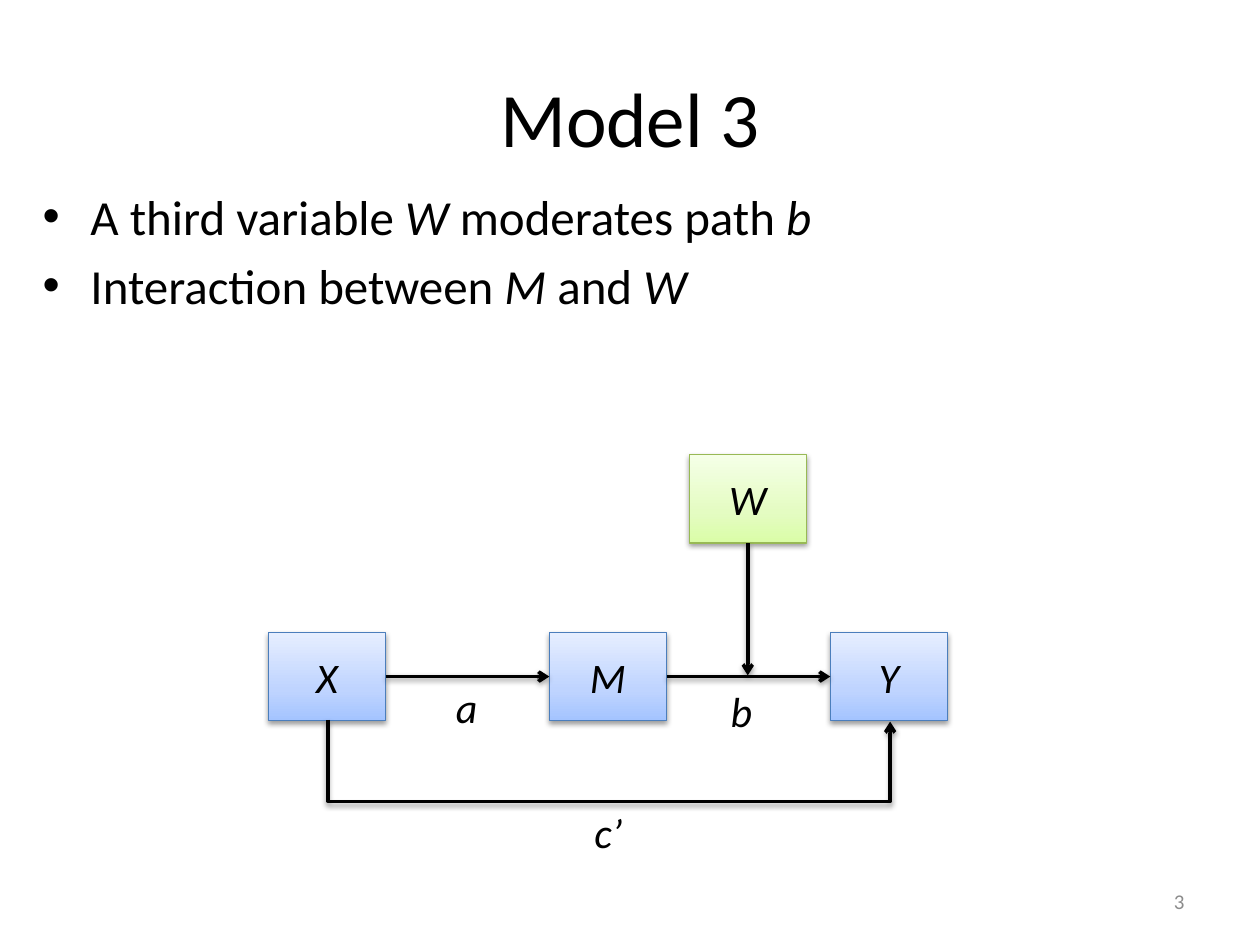
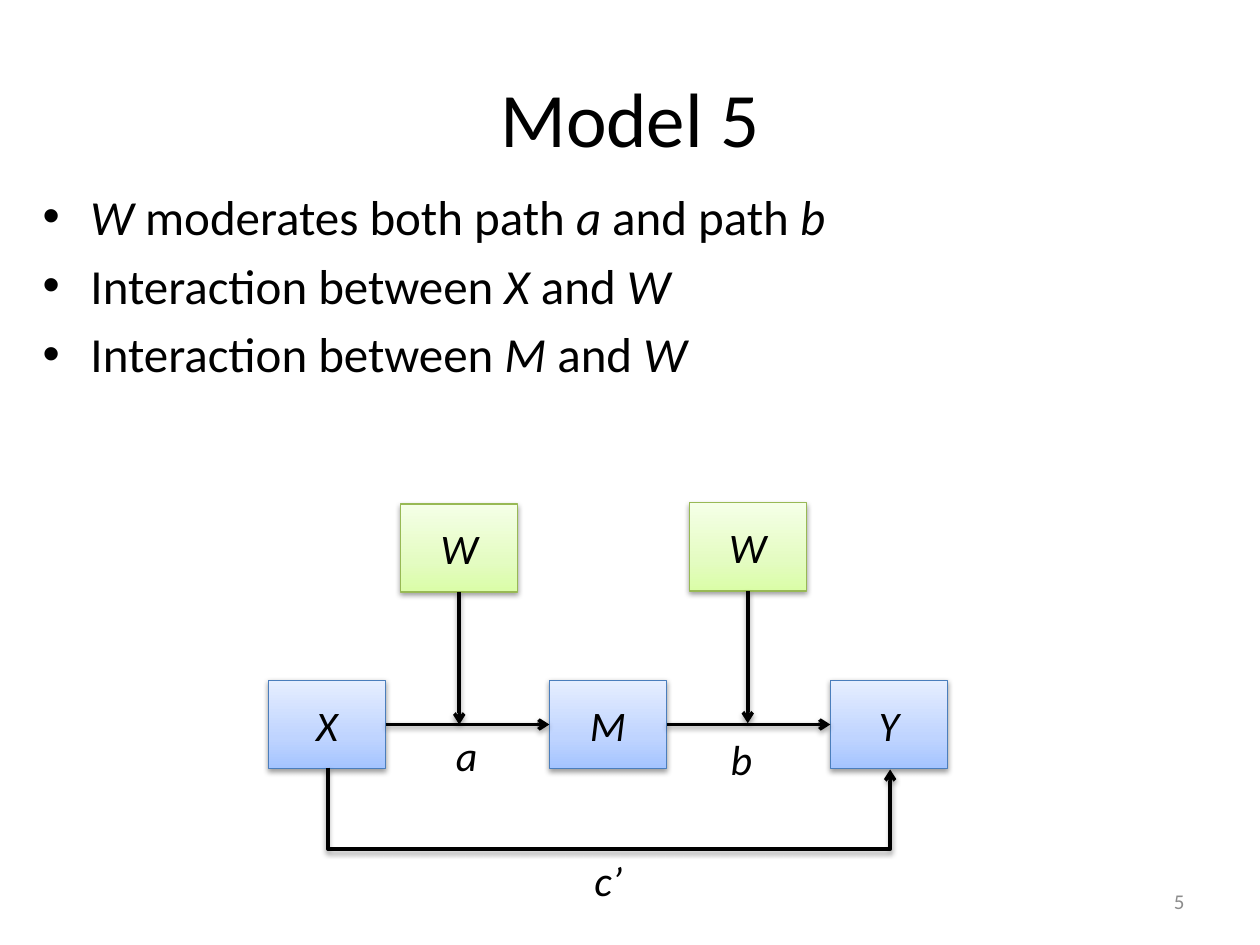
"""Builds two slides on moderated mediation, each with a path diagram."""
import pptx
import pptx.dml.color
import pptx.enum.shapes
import pptx.enum.text
import pptx.oxml
import pptx.oxml.ns
import pptx.util
from lxml import etree

Inches = pptx.util.Inches
Pt = pptx.util.Pt
qn = pptx.oxml.ns.qn
ALIGN = pptx.enum.text.PP_ALIGN
ANCHOR = pptx.enum.text.MSO_ANCHOR
CONNECTOR = pptx.enum.shapes.MSO_CONNECTOR
RECTANGLE = pptx.enum.shapes.MSO_SHAPE.RECTANGLE
NS = 'xmlns:a="http://schemas.openxmlformats.org/drawingml/2006/main"'

COLORS = {"ink": "000000", "page number": "8C8C8C",
          "path line": "4B7EBC", "moderator line": "98B955"}
GRADIENTS = {"path": ["A4C4FF", "BFD4FF", "E6EEFF"],
             "moderator": ["DAFDA7", "E4FCC2", "F5FFE7"]}
BOX_W, BOX_H = 0.93, 0.7
VARIABLES = {"X": 2.13, "M": 4.36, "Y": 6.59}
LABELS = [("a", 3.52, 0.34, 0.38), ("b", 5.7, 0.37, 0.38), ("c\u2019", 4.62, 1.33, 0.43)]

MODELS = [
    {"number": 3, "row": 5.02, "moderators": [(5.47, -1.41)],
     "points": [["A third variable ", "W", " moderates path ", "b"],
                ["Interaction between ", "M", " and ", "W"]]},
    {"number": 5, "row": 5.4, "moderators": [(5.47, -1.41), (3.18, -1.4)],
     "points": [["", "W", " moderates both path ", "a", " and path ", "b "],
                ["Interaction between ", "X", " and ", "W "],
                ["Interaction between ", "M", " and ", "W"]]},
]


def write(paragraph, parts, size, color="ink"):
    for position, part in enumerate(parts):
        if part:
            run = paragraph.add_run()
            run.text = part
            run.font.name = "Calibri"
            run.font.size = Pt(size)
            run.font.italic = position % 2 == 1
            run.font.color.rgb = pptx.dml.color.RGBColor.from_string(COLORS[color])


def outline(drawn, color, width):
    drawn.line.color.rgb = pptx.dml.color.RGBColor.from_string(COLORS[color])
    drawn.line.width = Pt(width)
    drawn._element.spPr.append(pptx.oxml.parse_xml(
        f'<a:effectLst {NS}><a:outerShdw blurRad="40000" dist="20000" dir="5400000" '
        'rotWithShape="0"><a:srgbClr val="000000"><a:alpha val="38000"/></a:srgbClr>'
        '</a:outerShdw></a:effectLst>'))


deck = pptx.Presentation()
deck.slide_width, deck.slide_height = Inches(10), Inches(7.5)

for model in MODELS:
    slide = deck.slides.add_slide(deck.slide_layouts[6])
    row = model["row"]
    middle = row + BOX_H / 2

    for text, place, size, color, align in [
            (f"Model {model['number']}", (0.5, 0.3, 9, 1.25), 44, "ink", ALIGN.CENTER),
            (str(model["number"]), (7.17, 6.95, 2.33, 0.4), 12, "page number", ALIGN.RIGHT)]:
        frame = slide.shapes.add_textbox(*map(Inches, place)).text_frame
        frame.word_wrap = True
        frame.vertical_anchor = ANCHOR.MIDDLE
        frame.paragraphs[0].alignment = align
        write(frame.paragraphs[0], [text], size, color)

    body = slide.shapes.add_textbox(Inches(0.24), Inches(1.43), Inches(9.63), Inches(5.51)).text_frame
    body.word_wrap = True
    for index, point in enumerate(model["points"]):
        paragraph = body.add_paragraph() if index else body.paragraphs[0]
        paragraph.space_before = Pt(5.6)
        properties = paragraph._p.get_or_add_pPr()
        properties.set("marL", str(Inches(0.38)))
        properties.set("indent", str(-Inches(0.38)))
        etree.SubElement(properties, qn("a:buFont")).set("typeface", "Arial")
        etree.SubElement(properties, qn("a:buChar")).set("char", "\u2022")
        write(paragraph, point, 28)

    boxes = [(name, left, row, "path") for name, left in VARIABLES.items()]
    boxes += [("W", left, row + rise, "moderator") for left, rise in model["moderators"]]
    for name, left, top, role in boxes:
        box = slide.shapes.add_shape(RECTANGLE, Inches(left), Inches(top), Inches(BOX_W), Inches(BOX_H))
        stops = "".join(f'<a:gs pos="{pos}"><a:srgbClr val="{tint}"/></a:gs>'
                        for pos, tint in zip((0, 35000, 100000), GRADIENTS[role]))
        box._element.spPr.append(pptx.oxml.parse_xml(
            f'<a:gradFill {NS} rotWithShape="1"><a:gsLst>{stops}</a:gsLst>'
            '<a:lin ang="16200000" scaled="0"/></a:gradFill>'))
        outline(box, f"{role} line", 0.75)
        box.text_frame.vertical_anchor = ANCHOR.MIDDLE
        box.text_frame.paragraphs[0].alignment = ALIGN.CENTER
        write(box.text_frame.paragraphs[0], ["", name], 24)

    arrows = [(CONNECTOR.STRAIGHT, VARIABLES[start] + BOX_W, middle, VARIABLES[end], middle)
              for start, end in ("XM", "MY")]
    arrows += [(CONNECTOR.STRAIGHT, left + BOX_W / 2, row + rise + BOX_H,
                left + BOX_W / 2, row + rise + BOX_H + 1.05)
               for left, rise in model["moderators"]]
    span = VARIABLES["Y"] - VARIABLES["X"]
    center_x = VARIABLES["M"] + BOX_W / 2 + 0.01
    center_y = row + BOX_H
    arrows.append((CONNECTOR.ELBOW, center_x + 0.007, center_y - span / 2,
                   center_x - 0.007, center_y + span / 2))
    for kind, *ends in arrows:
        arrow = slide.shapes.add_connector(kind, *map(Inches, ends))
        outline(arrow, "ink", 2)
        etree.SubElement(arrow.line._get_or_add_ln(), qn("a:tailEnd")).set("type", "arrow")
        if kind == CONNECTOR.ELBOW:
            shape_properties = arrow._element.spPr
            shape_properties.find(qn("a:xfrm")).set("rot", "16200000")
            adjustments = shape_properties.find(qn("a:prstGeom")).find(qn("a:avLst"))
            depth = etree.SubElement(adjustments, qn("a:gd"))
            depth.set("name", "adj1")
            depth.set("fmla", "val 4569200")

    for name, left, drop, width in LABELS:
        label = slide.shapes.add_textbox(Inches(left), Inches(row + drop), Inches(width), Inches(0.5)).text_frame
        label.word_wrap = False
        label.auto_size = pptx.enum.text.MSO_AUTO_SIZE.SHAPE_TO_FIT_TEXT
        write(label.paragraphs[0], ["", name], 24)

deck.save("out.pptx")
